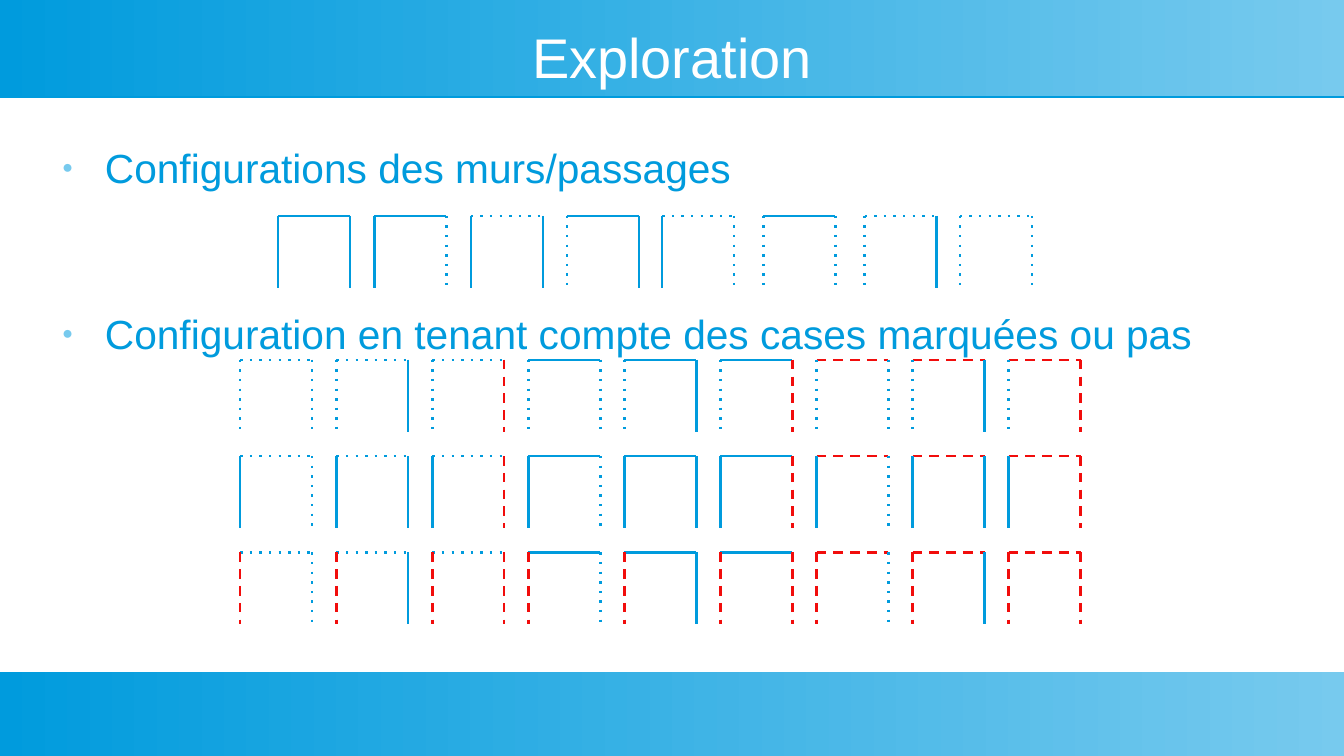
from itertools import product

from lxml.etree import SubElement
from pptx import Presentation
from pptx.dml.color import RGBColor
from pptx.enum.shapes import MSO_CONNECTOR, MSO_SHAPE
from pptx.enum.text import MSO_ANCHOR, MSO_AUTO_SIZE, PP_ALIGN
from pptx.oxml.ns import qn
from pptx.util import Inches, Pt

TITLE = "Exploration"
TOPICS = [
    # text, space before in points
    ("Configurations des murs/passages", 0),
    ("Configuration en tenant compte des cases marquées ou pas", 69.2),
]

COLORS = {"blue": "009BDD", "sky": "77CAEE", "red": "F10D0C", "white": "FFFFFF"}
SIDE_STYLES = {
    "passage": ("blue", "dot"),
    "wall": ("blue", "solid"),
    "marked": ("red", "dash"),
}
P, W, M = SIDE_STYLES

# Sides of each cell: left, top, right
WALL_CELLS = [
    (W, W, W), (W, W, P), (W, P, W), (P, W, W),
    (W, P, P), (P, W, P), (P, P, W), (P, P, P),
]
WALL_LEFTS = [2.28, 3.07, 3.86, 4.65, 5.43, 6.26, 7.09, 7.87]
WALL_TOP = 1.77

MARKED_LEFT, MARKED_TOP = 1.97, 2.95
CELL, PITCH = 0.59, 0.79
COLUMN_SPAN = 6.3  # from the first to the last of nine columns

SLIDE_W, SLIDE_H = 11.02, 6.2
BANDS = [(0, 0.79), (5.51, 0.69)]  # top, height
MARGIN, TEXT_W = 0.39, 10.24


def rgb(color):
    return RGBColor.from_string(COLORS[color])


def place(shape, left, top, width, height):
    shape.left, shape.top = Inches(left), Inches(top)
    shape.width, shape.height = Inches(width), Inches(height)


def write(paragraph, text, *, size, color, align=PP_ALIGN.LEFT, before=0):
    paragraph.alignment = align
    paragraph.space_before = Pt(before)
    run = paragraph.add_run()
    run.text = text
    run.font.name = "Arial"
    run.font.size = Pt(size)
    run.font.color.rgb = rgb(color)


def prepare_frame(frame, anchor):
    frame.margin_left = frame.margin_right = 0
    frame.margin_top = frame.margin_bottom = 0
    frame.word_wrap = True
    frame.auto_size = MSO_AUTO_SIZE.NONE
    frame.vertical_anchor = anchor


def add_bullet(paragraph):
    props = paragraph._p.get_or_add_pPr()
    props.set("marL", str(Inches(0.47)))
    props.set("indent", str(Inches(-0.35)))
    bullet_color = SubElement(props, qn("a:buClr"))
    SubElement(bullet_color, qn("a:srgbClr"), val=COLORS["sky"])
    SubElement(props, qn("a:buSzPct"), val="45000")
    SubElement(props, qn("a:buFont"), typeface="Arial")
    SubElement(props, qn("a:buChar"), char="●")


def add_band(slide, top, height):
    """Add a full-width gradient band behind everything else."""
    band = slide.shapes.add_shape(
        MSO_SHAPE.RECTANGLE, 0, Inches(top), Inches(SLIDE_W), Inches(height))
    band.fill.gradient()
    band.fill.gradient_angle = 0
    for stop, color, position in zip(
            band.fill.gradient_stops, ("blue", "sky"), (0, 1)):
        stop.color.rgb = rgb(color)
        stop.position = position
    band.line.fill.background()
    band.shadow.inherit = False
    effects = band._element.spPr.find(qn("a:effectLst"))
    shadow = SubElement(effects, qn("a:outerShdw"), blurRad="0",
                        dist=str(Pt(0.9)), dir="5400000", rotWithShape="0")
    SubElement(shadow, qn("a:srgbClr"), val=COLORS["blue"])
    slide.shapes._spTree.insert(2, band._element)


def add_side(slide, kind, start, end):
    color, dash = SIDE_STYLES[kind]
    side = slide.shapes.add_connector(
        MSO_CONNECTOR.STRAIGHT, *(Inches(value) for value in start + end))
    side.line.color.rgb = rgb(color)
    side.line.width = Pt(1.42)
    props = side._element.spPr
    SubElement(props.find(qn("a:ln")), qn("a:prstDash"), val=dash)
    SubElement(props, qn("a:effectLst"))


def add_cell(slide, x, y, sides):
    left, top, right = sides
    add_side(slide, top, (x, y), (x + CELL, y))
    add_side(slide, right, (x + CELL, y), (x + CELL, y + CELL))
    add_side(slide, left, (x, y), (x, y + CELL))


def main():
    deck = Presentation()
    deck.slide_width, deck.slide_height = Inches(SLIDE_W), Inches(SLIDE_H)
    slide = deck.slides.add_slide(deck.slide_layouts[1])

    for top, height in BANDS:
        add_band(slide, top, height)

    title = slide.shapes.title
    place(title, MARGIN, 0.2, TEXT_W, 0.52)
    prepare_frame(title.text_frame, MSO_ANCHOR.MIDDLE)
    write(title.text_frame.paragraphs[0], TITLE,
          size=33, color="white", align=PP_ALIGN.CENTER)

    topics = slide.placeholders[1]
    place(topics, MARGIN, 1.17, TEXT_W, 1.77)
    frame = topics.text_frame
    prepare_frame(frame, MSO_ANCHOR.TOP)
    for index, (topic, before) in enumerate(TOPICS):
        paragraph = frame.add_paragraph() if index else frame.paragraphs[0]
        write(paragraph, topic, size=24, color="blue", before=before)
        add_bullet(paragraph)

    for x, sides in zip(WALL_LEFTS, WALL_CELLS):
        add_cell(slide, x, WALL_TOP, sides)

    # One row per left side, one column per pair of top and right sides
    for row, left in enumerate(SIDE_STYLES):
        for column, pair in enumerate(product(SIDE_STYLES, repeat=2)):
            add_cell(slide, MARKED_LEFT + column * COLUMN_SPAN / 8,
                     MARKED_TOP + row * PITCH, (left, *pair))

    deck.save("out.pptx")


if __name__ == "__main__":
    main()
